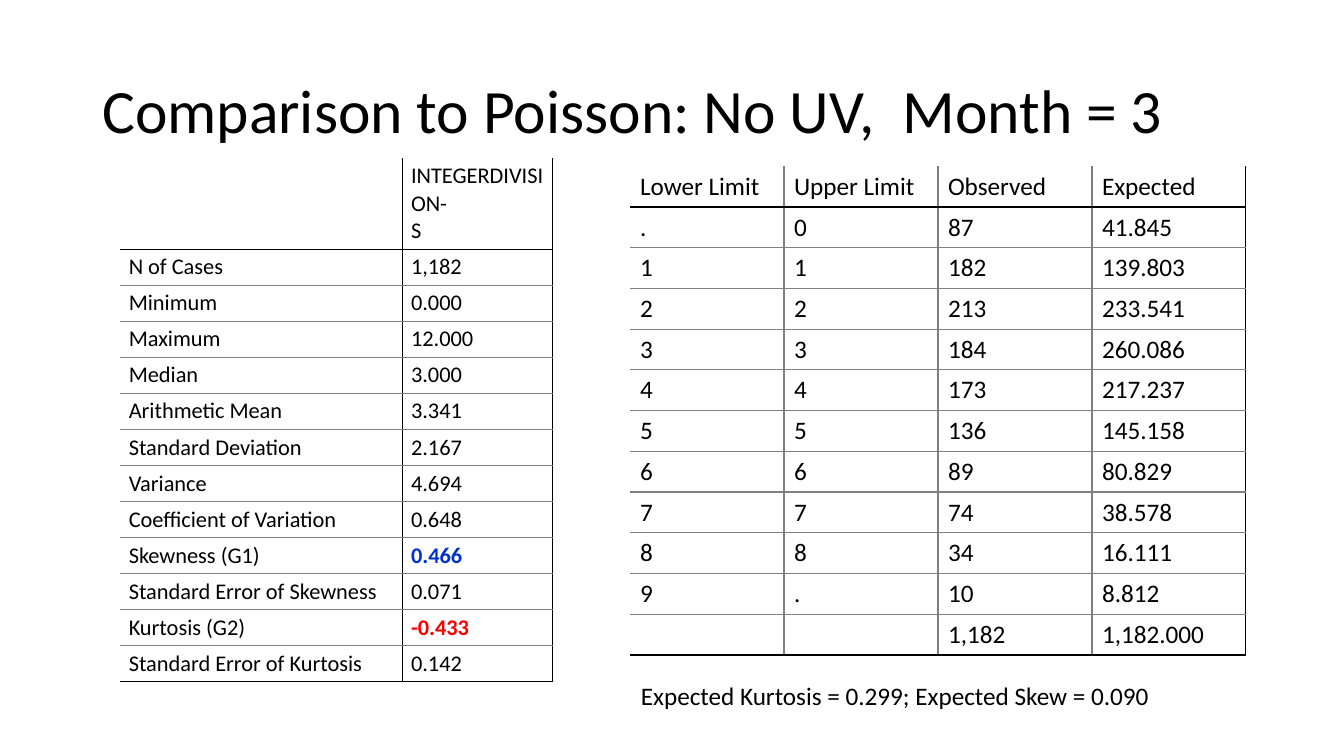
from lxml import etree
from pptx import Presentation
from pptx.dml.color import RGBColor
from pptx.enum import text
from pptx.oxml.ns import qn
from pptx.util import Pt

FONT = "Calibri"
BLACK = RGBColor(0, 0, 0)
GRAY = RGBColor(0x80, 0x80, 0x80)
BLUE = RGBColor(0x00, 0x33, 0xCC)
RED = RGBColor(0xFF, 0, 0)

STATISTICS = [
    ("", "INTEGERDIVISION-\vS"),
    ("N of Cases", "1,182"),
    ("Minimum", "0.000"),
    ("Maximum", "12.000"),
    ("Median", "3.000"),
    ("Arithmetic Mean", "3.341"),
    ("Standard Deviation", "2.167"),
    ("Variance", "4.694"),
    ("Coefficient of Variation", "0.648"),
    ("Skewness (G1)", "0.466"),
    ("Standard Error of Skewness", "0.071"),
    ("Kurtosis (G2)", "-0.433"),
    ("Standard Error of Kurtosis", "0.142"),
]
FREQUENCIES = [
    ("Lower Limit", "Upper Limit", "Observed", "Expected"),
    (".", "0", "87", "41.845"),
    ("1", "1", "182", "139.803"),
    ("2", "2", "213", "233.541"),
    ("3", "3", "184", "260.086"),
    ("4", "4", "173", "217.237"),
    ("5", "5", "136", "145.158"),
    ("6", "6", "89", "80.829"),
    ("7", "7", "74", "38.578"),
    ("8", "8", "34", "16.111"),
    ("9", ".", "10", "8.812"),
    ("", "", "1,182", "1,182.000"),
]
HIGHLIGHTS = {"0.466": BLUE, "-0.433": RED}


def format_runs(p, size, color=BLACK, bold=False):
    for r in p.runs:
        r.font.name = FONT
        r.font.size = Pt(size)
        r.font.color.rgb = color
        r.font.bold = bold


def add_text(s, box, content, size, anchor, wrap=True):
    tf = s.shapes.add_textbox(*map(Pt, box)).text_frame
    tf.word_wrap = wrap
    tf.vertical_anchor = anchor
    tf.text = content
    format_runs(tf.paragraphs[0], size)
    return tf


def set_borders(cell, colors):
    """Draw left, right, top and bottom in that order; None hides a side."""
    tcPr = cell._tc.get_or_add_tcPr()
    for i, (side, color) in enumerate(zip(("lnL", "lnR", "lnT", "lnB"), colors)):
        ln = etree.Element(qn("a:" + side), w=str(Pt(1)))
        if color is None:
            etree.SubElement(ln, qn("a:noFill"))
        else:
            fill = etree.SubElement(ln, qn("a:solidFill"))
            etree.SubElement(fill, qn("a:srgbClr"), val=str(color))
        tcPr.insert(i, ln)


def add_ruled_table(s, rows, left, top, widths, header_height, row_height,
                    size, insets, divider):
    """Table open at left and top, with black rules around its body."""
    heights = [header_height] + [row_height] * (len(rows) - 1)
    frame = s.shapes.add_table(len(rows), len(widths), Pt(left), Pt(top),
                               Pt(sum(widths)), Pt(sum(heights)))
    table = frame.table
    table.first_row = table.horz_banding = False
    for column, width in zip(table.columns, widths):
        column.width = Pt(width)
    for row, height in zip(table.rows, heights):
        row.height = Pt(height)

    last_row, last_col = len(rows) - 1, len(widths) - 1
    rules = [None, BLACK] + [GRAY] * (last_row - 1) + [BLACK]
    dividers = [None] + [divider] * last_col + [BLACK]
    for i, values in enumerate(rows):
        for j, value in enumerate(values):
            cell = table.cell(i, j)
            cell.fill.background()
            cell.margin_left = cell.margin_right = Pt(insets[0])
            cell.margin_top = cell.margin_bottom = Pt(insets[1])
            cell.text = value
            format_runs(cell.text_frame.paragraphs[0], size,
                        HIGHLIGHTS.get(value, BLACK), value in HIGHLIGHTS)
            set_borders(cell, dividers[j:j + 2] + rules[i:i + 2])


def main():
    prs = Presentation()
    prs.slide_width, prs.slide_height = Pt(960), Pt(540)
    s = prs.slides.add_slide(prs.slide_layouts[6])

    title = add_text(s, (66, 28.8, 828, 104.4),
                     "Comparison to Poisson: No UV,  Month = 3", 44,
                     text.MSO_ANCHOR.MIDDLE)
    title.paragraphs[0].line_spacing = 0.9

    add_ruled_table(s, STATISTICS, 85.7, 113, (201.6, 107.3), 65, 25.75,
                    16, (6.3, 3.1), BLACK)
    add_ruled_table(s, FREQUENCIES, 450, 118.8, (110,) * 4, 29.1, 29.1,
                    18, (7.2, 3.55), GRAY)

    add_text(s, (450.7, 482.4, 381.6, 29), 
             "Expected Kurtosis = 0.299; Expected Skew = 0.090", 18,
             text.MSO_ANCHOR.TOP, wrap=False)
    prs.save("out.pptx")


if __name__ == "__main__":
    main()
